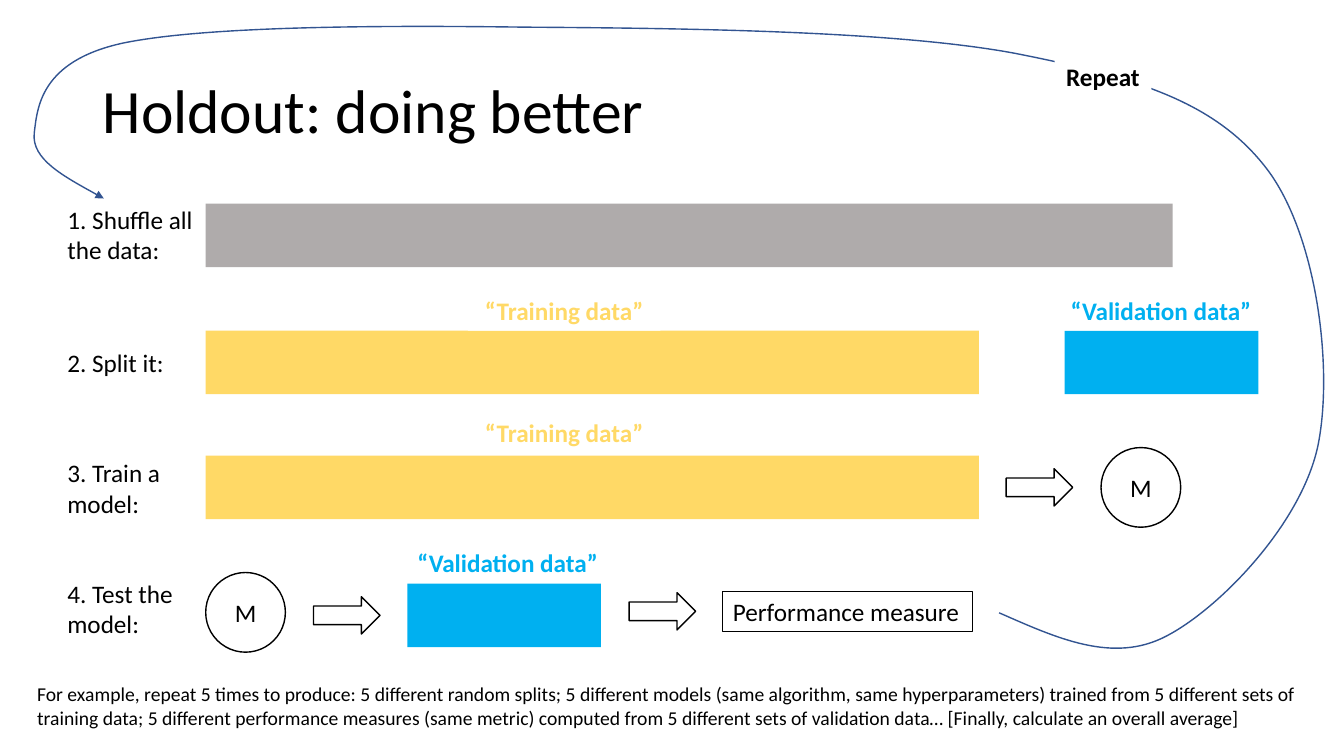
from dataclasses import dataclass

from lxml import etree
from pptx import Presentation
from pptx.dml.color import RGBColor
from pptx.enum.shapes import MSO_SHAPE
from pptx.enum.text import MSO_ANCHOR, PP_ALIGN
from pptx.oxml.ns import qn
from pptx.util import Inches, Pt

RECTANGLE, OVAL, ARROW = MSO_SHAPE.RECTANGLE, MSO_SHAPE.OVAL, MSO_SHAPE.RIGHT_ARROW
LEFT, CENTER = PP_ALIGN.LEFT, PP_ALIGN.CENTER
TOP, MIDDLE = MSO_ANCHOR.TOP, MSO_ANCHOR.MIDDLE


@dataclass(frozen=True)
class Theme:
    font: str = "Calibri"
    title_size: int = 44
    body_size: int = 18
    note_size: int = 14
    black: str = "000000"
    white: str = "FFFFFF"
    all_data: str = "AFABAB"
    training: str = "FFD966"
    validation: str = "00B0F0"
    loop: str = "325491"


theme = Theme()
presentation = Presentation()
presentation.slide_width = Inches(13.33)
presentation.slide_height = Inches(7.5)
slide = presentation.slides.add_slide(presentation.slide_layouts[6])


def add_box(kind, left, top, width, height, fill=None, line_width=None):
    shape = slide.shapes.add_shape(
        kind, Inches(left), Inches(top), Inches(width), Inches(height))
    shape.shadow.inherit = False
    if fill:
        shape.fill.solid()
        shape.fill.fore_color.rgb = RGBColor.from_string(fill)
    else:
        shape.fill.background()
    if line_width:
        shape.line.color.rgb = RGBColor.from_string(theme.black)
        shape.line.width = Pt(line_width)
    else:
        shape.line.fill.background()
    return shape


def write(shape, text, size=theme.body_size, color=theme.black, bold=False,
          align=LEFT, anchor=TOP):
    text_frame = shape.text_frame
    text_frame.text = text
    text_frame.word_wrap = True
    text_frame.vertical_anchor = anchor
    paragraph = text_frame.paragraphs[0]
    paragraph.alignment = align
    font = paragraph.runs[0].font
    font.name = theme.font
    font.size = Pt(size)
    font.bold = bold
    font.color.rgb = RGBColor.from_string(color)
    return paragraph


# Title
title = slide.shapes.add_textbox(Inches(0.92), Inches(0.4), Inches(11.5), Inches(1.45))
write(title, "Holdout: doing better", theme.title_size, anchor=MIDDLE).line_spacing = 0.9

# Step names and the closing example
for text, left, top, width, height, size in [
    ("1. Shuffle all the data:", 0.57, 1.98, 1.59, 0.71, theme.body_size),
    ("2. Split it:", 0.57, 3.4, 1.3, 0.4, theme.body_size),
    ("3. Train a model:", 0.57, 4.49, 1.3, 0.71, theme.body_size),
    ("4. Test the model:", 0.57, 5.69, 1.3, 0.71, theme.body_size),
    ("For example, repeat 5 times to produce: 5 different random splits; "
     "5 different models (same algorithm, same hyperparameters) trained from "
     "5 different sets of training data; 5 different performance measures "
     "(same metric) computed from 5 different sets of validation data… "
     "[Finally, calculate an overall average]",
     0.27, 6.72, 12.78, 0.57, theme.note_size),
]:
    text_box = slide.shapes.add_textbox(
        Inches(left), Inches(top), Inches(width), Inches(height))
    write(text_box, text, size)

# Data bars: a long training part and a short validation part
ROW_LEFT, LONG, SHORT, BAR_HEIGHT = 2.04, 7.67, 1.92, 0.63
for left, top, width, color in [
    (ROW_LEFT, 2.02, LONG, theme.all_data),
    (ROW_LEFT + LONG, 2.02, SHORT, theme.all_data),
    (ROW_LEFT, 3.28, LONG, theme.training),
    (10.56, 3.28, SHORT, theme.validation),
    (ROW_LEFT, 4.52, LONG, theme.training),
    (4.04, 5.79, SHORT, theme.validation),
]:
    add_box(RECTANGLE, left, top, width, BAR_HEIGHT, color)

# Models and block arrows
for left, top in [(10.92, 4.44), (ROW_LEFT, 5.68)]:
    model = add_box(OVAL, left, top, 0.79, 0.79, line_width=1)
    write(model, "M", align=CENTER, anchor=MIDDLE)
for left, top in [(9.98, 4.65), (3.11, 5.92), (6.24, 5.88)]:
    add_box(ARROW, left, top, 0.66, 0.37, line_width=1)

# Result of the test
result = add_box(RECTANGLE, 7.17, 5.87, 2.48, 0.4, line_width=0.75)
write(result, "Performance measure")

# Loop back to step 1: start point, then three points for each Bézier curve
loop_points = [
    (9.91, 6.08),
    (10.48, 6.33), (11.04, 6.59), (11.57, 6.31),
    (12.09, 6.04), (12.9, 5.21), (13.07, 4.43),
    (13.23, 3.66), (13.06, 2.32), (12.56, 1.67),
    (12.06, 1.02), (11.29, 0.77), (10.07, 0.53),
    (8.84, 0.3), (6.68, 0.28), (5.2, 0.27),
    (3.72, 0.25), (2.02, 0.26), (1.21, 0.43),
    (0.4, 0.61), (0.37, 1.07), (0.34, 1.32),
    (0.31, 1.58), (0.67, 1.77), (1.03, 1.97),
]
start, *curve_points = [(Inches(x), Inches(y)) for x, y in loop_points]
builder = slide.shapes.build_freeform(*start)
builder.add_line_segments(curve_points, close=False)
loop = builder.convert_to_shape()
loop.shadow.inherit = False
loop.fill.background()
loop.line.color.rgb = RGBColor.from_string(theme.loop)
loop.line.width = Pt(1)
etree.SubElement(loop.line._get_or_add_ln(), qn("a:tailEnd"), type="triangle")

# Turn every three line segments into one cubic curve
segments = list(loop._element.iter(qn("a:lnTo")))
outline = segments[0].getparent()
for index in range(0, len(segments), 3):
    curve = etree.SubElement(outline, qn("a:cubicBezTo"))
    for segment in segments[index:index + 3]:
        curve.append(segment[0])
        outline.remove(segment)

# Bold captions
for text, left, top, width, color in [
    ("“Training data”", 4.64, 2.88, 1.91, theme.training),
    ("“Validation data”", 10.46, 2.88, 2.11, theme.validation),
    ("“Training data”", 4.64, 4.09, 1.91, theme.training),
    ("“Validation data”", 3.98, 5.38, 2.11, theme.validation),
    ("Repeat", 10.46, 0.56, 0.96, theme.black),
]:
    caption = add_box(RECTANGLE, left, top, width, 0.4, theme.white)
    write(caption, text, color=color, bold=True, align=CENTER)

presentation.save("out.pptx")
